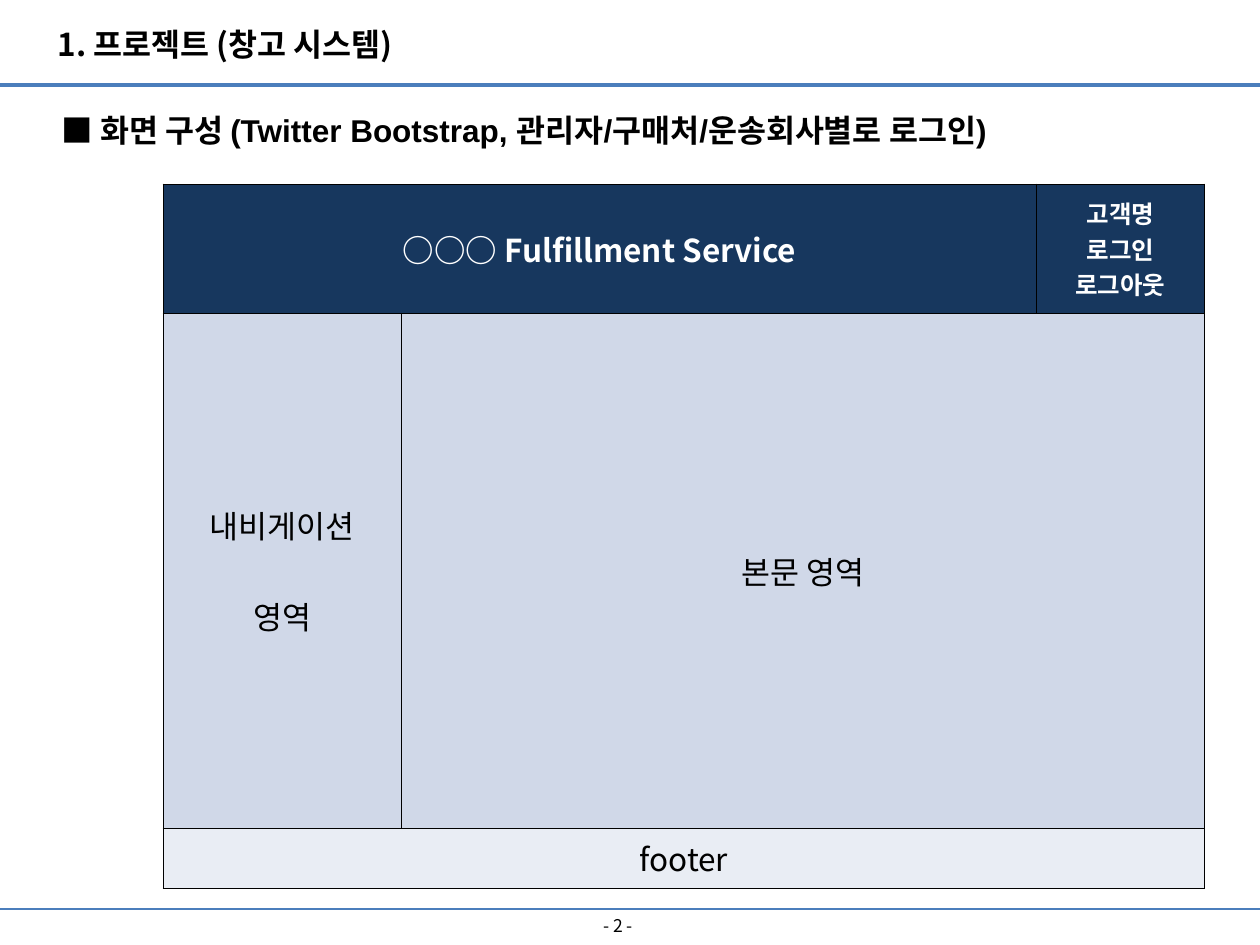
"""Build the screen layout slide of the warehouse system project."""
from pptx import Presentation
from pptx.dml.color import RGBColor
from pptx.enum.shapes import MSO_CONNECTOR
from pptx.enum.text import MSO_ANCHOR, MSO_AUTO_SIZE, PP_ALIGN
from pptx.oxml import parse_xml
from pptx.oxml.ns import nsdecls, qn
from pptx.util import Emu, Pt

SCALE = 914400 / 126
PAGE_SIZE = (1260, 945)
SANS = "Noto Sans CJK KR"
NAVY, PALE, LIGHT = "17375E", "D0D8E8", "E9EDF4"

TITLE = "1. 프로젝트 (창고 시스템)"
HEADING = "■ 화면 구성 (Twitter Bootstrap, 관리자/구매처/운송회사별로 로그인)"
PAGE_NUMBER = "- 2 -"
RULES = [(85, 2.25), (909, 0.75)]

TABLE_ORIGIN = (163, 184)
COLUMNS = [238, 635, 169]
ROWS = [129, 515, 60]
HEADER = {"color": "FFFFFF", "bold": True}
REGIONS = [
    ((0, 0), (0, 1), NAVY, ["○○○ Fulfillment Service"], HEADER),
    ((0, 2), (0, 2), NAVY, ["고객명", "로그인", "로그아웃"], {**HEADER, "size": 14}),
    ((1, 0), (1, 0), PALE, ["내비게이션", "영역"], {"gap": 26}),
    ((1, 1), (1, 2), PALE, ["본문 영역"], {}),
    ((2, 0), (2, 2), LIGHT, ["footer"], {}),
]


def px(length):
    return Emu(round(length * SCALE))


def rgb(value):
    return RGBColor.from_string(value)


def write(frame, lines, size=18, font=SANS, color="000000", bold=False,
          align=PP_ALIGN.CENTER, spacing=None, gap=0):
    for index, line in enumerate(lines):
        para = frame.add_paragraph() if index else frame.paragraphs[0]
        para.alignment = align
        para.line_spacing = spacing
        para.space_before = Pt(gap if index else 0)
        span = para.add_run()
        span.text = line
        span.font.size = Pt(size)
        span.font.name = font
        span.font.bold = bold
        span.font.color.rgb = rgb(color)
        span.font._element.find(qn("a:latin")).addnext(
            parse_xml(f'<a:ea {nsdecls("a")} typeface="{SANS}"/>'))


def place(box, left, top, width, height, wrap=True, anchor=MSO_ANCHOR.TOP):
    box.left, box.top, box.width, box.height = map(px, (left, top, width, height))
    frame = box.text_frame
    frame.auto_size = MSO_AUTO_SIZE.NONE
    frame.word_wrap = wrap
    frame.vertical_anchor = anchor
    return frame


def add_rule(page, top, weight):
    rule = page.shapes.add_connector(
        MSO_CONNECTOR.STRAIGHT, 0, px(top), px(PAGE_SIZE[0]), px(top))
    rule.line.color.rgb = rgb("4B7EBC")
    rule.line.width = Pt(weight)
    rule._element.spPr.append(parse_xml(f'<a:effectLst {nsdecls("a")}/>'))


def add_borders(cell):
    properties = cell._tc.get_or_add_tcPr()
    for side in ("lnL", "lnR", "lnT", "lnB"):
        properties.append(parse_xml(
            f'<a:{side} {nsdecls("a")} w="{Pt(0.5)}"><a:solidFill>'
            f'<a:srgbClr val="000000"/></a:solidFill></a:{side}>'))


def add_layout_table(page):
    table = page.shapes.add_table(
        len(ROWS), len(COLUMNS), *map(px, TABLE_ORIGIN),
        px(sum(COLUMNS)), px(sum(ROWS))).table
    table.first_row = table.horz_banding = False
    for column, width in zip(table.columns, COLUMNS):
        column.width = px(width)
    for row, height in zip(table.rows, ROWS):
        row.height = px(height)
    for cell in table.iter_cells():
        add_borders(cell)
    for first, last, fill, lines, style in REGIONS:
        cell = table.cell(*first)
        if first != last:
            cell.merge(table.cell(*last))
        cell.fill.solid()
        cell.fill.fore_color.rgb = rgb(fill)
        cell.vertical_anchor = MSO_ANCHOR.MIDDLE
        write(cell.text_frame, lines, **style)


def main():
    deck = Presentation()
    deck.slide_width, deck.slide_height = map(px, PAGE_SIZE)
    page = deck.slides.add_slide(deck.slide_layouts[5])
    for top, weight in RULES:
        add_rule(page, top, weight)
    title = place(page.shapes.title, 45, 19, 396, 50, wrap=False)
    write(title, [TITLE], bold=True, align=PP_ALIGN.LEFT)
    number = place(page.shapes.add_textbox(0, 0, 0, 0), 471, 909, 294, 33,
                   anchor=MSO_ANCHOR.MIDDLE)
    write(number, [PAGE_NUMBER], size=10)
    heading = place(page.shapes.add_textbox(0, 0, 0, 0), 49, 86, 1042, 71, wrap=False)
    write(heading, [HEADING], font="Arial", bold=True, align=PP_ALIGN.LEFT, spacing=1.5)
    add_layout_table(page)
    deck.save("out.pptx")


if __name__ == "__main__":
    main()
